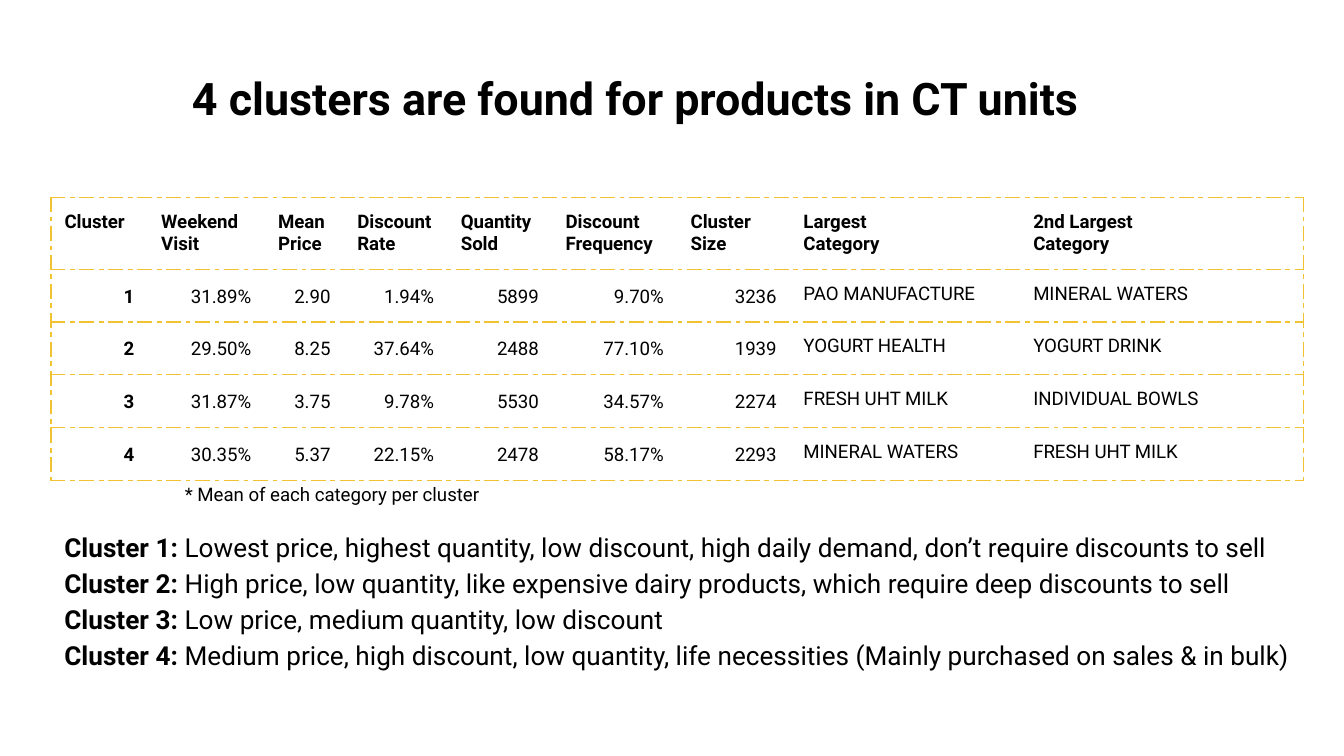
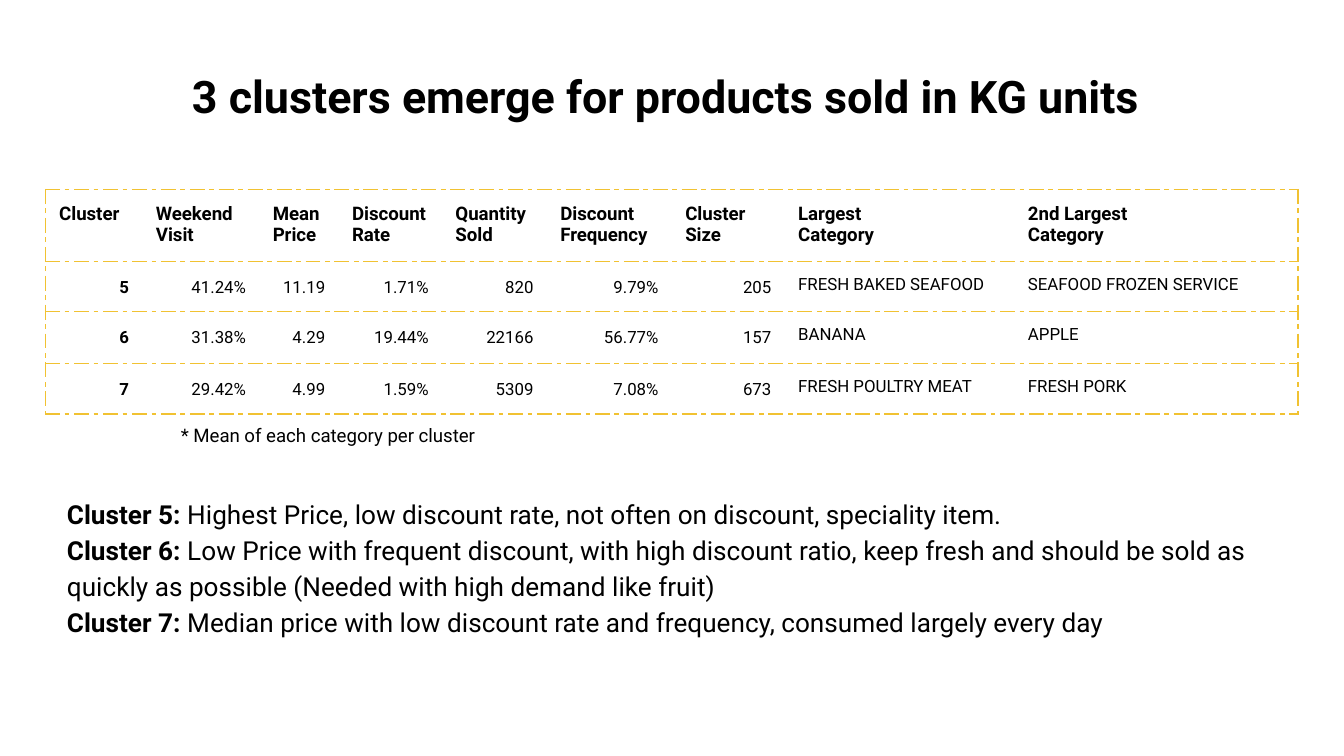
"""Build two slides that describe product clusters."""
import pptx
import pptx.util
import pptx.dml.color
import pptx.enum.text
import pptx.oxml.ns
import lxml.etree

Inches = pptx.util.Inches
ALIGN = pptx.enum.text.PP_ALIGN
BLACK = pptx.dml.color.RGBColor(0x00, 0x00, 0x00)
GOLD = pptx.dml.color.RGBColor(0xF1, 0xC2, 0x32)
FONT = "Roboto"
PAD = Inches(0.1)
FRAME = Inches(3.28)
COLS = [0.72, 0.87, 0.59, 0.77, 0.78, 0.93, 0.84, 1.71, 2.11]
HEADS = ["Cluster", "Weekend\nVisit", "Mean\nPrice", "Discount\nRate", "Quantity\nSold",
         "Discount\nFrequency", "Cluster\nSize", "Largest\nCategory", "2nd Largest\nCategory"]
NOTE = "* Mean of each category per cluster"

SLIDES = [
    {
        "title": "4 clusters are found for products in CT units",
        "head": (1.33, 0.43, 9.32, 0.6),
        "grid": (0.38, 1.47),
        "rows": [0.51, 0.36, 0.39, 0.37, 0.38],
        "size": 10,
        "data": [
            ["1", "31.89%", "2.90", "1.94%", "5899", "9.70%", "3236", "PAO MANUFACTURE", "MINERAL WATERS"],
            ["2", "29.50%", "8.25", "37.64%", "2488", "77.10%", "1939", "YOGURT HEALTH", "YOGURT DRINK"],
            ["3", "31.87%", "3.75", "9.78%", "5530", "34.57%", "2274", "FRESH UHT MILK", "INDIVIDUAL BOWLS"],
            ["4", "30.35%", "5.37", "22.15%", "2478", "58.17%", "2293", "MINERAL WATERS", "FRESH UHT MILK"],
        ],
        "note": (0.95, 3.47, 3.04, 0.4),
        "body": (0.38, 3.82, 9.42, 1.46),
        "lines": [
            "Lowest price, highest quantity, low discount, high daily demand, don’t require discounts to sell",
            "High price, low quantity, like expensive dairy products, which require deep discounts to sell",
            "Low price, medium quantity, low discount",
            "Medium price, high discount, low quantity, life necessities (Mainly purchased on sales & in bulk)",
        ],
    },
    {
        "title": "3 clusters emerge for products sold in KG units",
        "head": (1.33, 0.41, 8.44, 0.63),
        "grid": (0.34, 1.41),
        "rows": [0.51, 0.36, 0.39, 0.37],
        "size": 9,
        "data": [
            ["5", "41.24%", "11.19", "1.71%", "820", "9.79%", "205", "FRESH BAKED SEAFOOD",
             "SEAFOOD FROZEN SERVICE"],
            ["6", "31.38%", "4.29", "19.44%", "22166", "56.77%", "157", "BANANA", "APPLE"],
            ["7", "29.42%", "4.99", "1.59%", "5309", "7.08%", "673", "FRESH POULTRY MEAT", "FRESH PORK"],
        ],
        "note": (0.92, 3.03, 3.04, 0.4),
        "body": (0.4, 3.57, 9.2, 1.68),
        "lines": [
            "Highest Price, low discount rate, not often on discount, speciality item.",
            "Low Price with frequent discount, with high discount ratio, keep fresh and should be sold as "
            "quickly as possible (Needed with high demand like fruit)",
            "Median price with low discount rate and frequency, consumed largely every day",
        ],
    },
]


def write(frame, text, size=10, bold=False, align=ALIGN.LEFT, space=None, lead=None):
    """Fill a frame line by line; bold leads share one paragraph with line breaks."""
    frame.word_wrap = True
    frame.margin_left = frame.margin_right = frame.margin_top = frame.margin_bottom = PAD
    para = frame.paragraphs[0]
    for num, line in enumerate(text.split("\n")):
        if num and lead:
            para.add_line_break()
        elif num:
            para = frame.add_paragraph()
        para.alignment = align
        para.line_spacing = space
        parts = [(lead[num], True), (" " + line, bold)] if lead else [(line, bold)]
        for part, heavy in parts:
            run = para.add_run()
            run.text = part
            run.font.name = FONT
            run.font.size = pptx.util.Pt(size)
            run.font.bold = heavy
            run.font.color.rgb = BLACK


def edge(cell, side, shown):
    """Draw or hide one side of a table cell."""
    qn = pptx.oxml.ns.qn
    line = lxml.etree.SubElement(cell._tc.get_or_add_tcPr(), qn("a:ln" + side), w="9525")
    if shown:
        fill = lxml.etree.SubElement(line, qn("a:solidFill"))
        lxml.etree.SubElement(fill, qn("a:srgbClr"), val=str(GOLD))
        lxml.etree.SubElement(line, qn("a:prstDash"), val="lgDashDot")
    else:
        lxml.etree.SubElement(line, qn("a:noFill"))


deck = pptx.Presentation()
deck.slide_width = Inches(10)
deck.slide_height = Inches(10) * 9 // 16

for info in SLIDES:
    slide = deck.slides.add_slide(deck.slide_layouts[6])
    boxes = {}
    for name in ("head", "body", "note"):
        boxes[name] = slide.shapes.add_textbox(*map(Inches, info[name])).text_frame
    write(boxes["head"], info["title"], size=24, bold=True)
    leads = [f"Cluster {row[0]}:" for row in info["data"]]
    write(boxes["body"], "\n".join(info["lines"]), size=14, space=1.15, lead=leads)
    write(boxes["note"], NOTE, align=ALIGN.CENTER, space=1.15)

    left, top = info["grid"]
    grid = slide.shapes.add_table(
        len(info["rows"]), len(COLS), Inches(left), Inches(top), FRAME, FRAME)
    table = grid.table
    table.first_row = table.horz_banding = False
    for col, width in zip(table.columns, COLS):
        col.width = Inches(width)
    for row, height in zip(table.rows, info["rows"]):
        row.height = Inches(height)
    grid.width = grid.height = FRAME

    for r, row in enumerate([HEADS] + info["data"]):
        for c, text in enumerate(row):
            cell = table.cell(r, c)
            number = r > 0 and c < 7
            write(cell.text_frame, text,
                  size=info["size"] if r else 10,
                  bold=r == 0 or c == 0,
                  align=ALIGN.RIGHT if number else ALIGN.LEFT,
                  space=1.15 if number else None)
            cell.margin_left = cell.margin_right = cell.margin_top = cell.margin_bottom = PAD
            for side, shown in (("L", c == 0), ("R", c == len(COLS) - 1), ("T", True), ("B", True)):
                edge(cell, side, shown)
            cell.fill.background()

deck.save("out.pptx")
